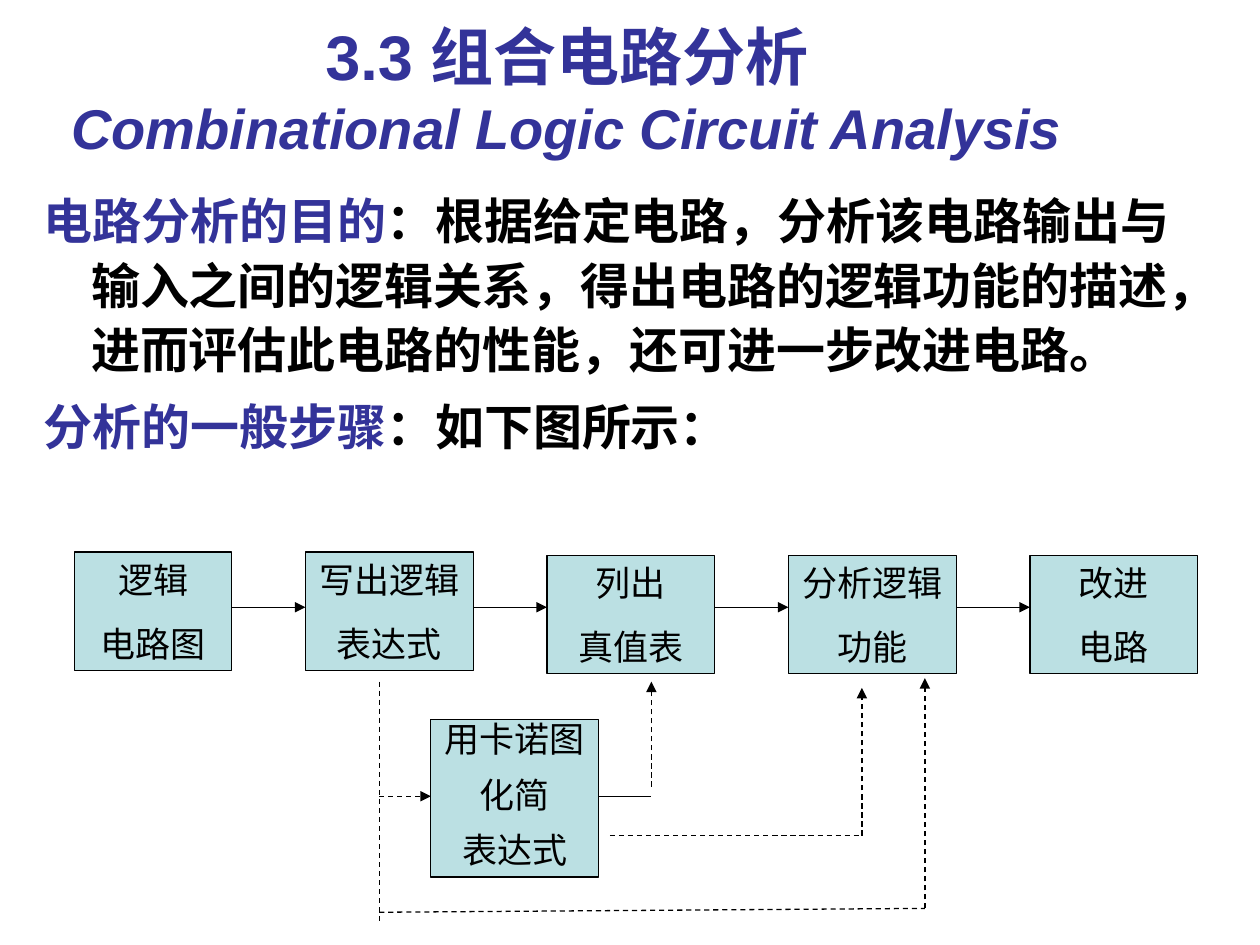
from lxml import etree
from pptx import Presentation
from pptx.dml.color import RGBColor
from pptx.enum import dml, shapes, text
from pptx.oxml import ns
from pptx.util import Pt

BLACK = RGBColor(0x00, 0x00, 0x00)
INDIGO = RGBColor(0x33, 0x33, 0x99)
PALE_TEAL = RGBColor(0xBB, 0xE0, 0xE3)


def add_span(para, words, font="Arial", size=20, color=BLACK, bold=False, italic=False):
    span = para.add_run()
    span.text = words
    span.font.name = font
    span.font.size = Pt(size)
    span.font.color.rgb = color
    span.font.bold = bold
    span.font.italic = italic


def add_text_box(slide, left, top, width, height, anchor):
    box = slide.shapes.add_textbox(Pt(left), Pt(top), Pt(width), Pt(height))
    box.text_frame.word_wrap = True
    box.text_frame.vertical_anchor = anchor
    return box.text_frame


def add_title(slide, left, top, width, height):
    frame = add_text_box(slide, left, top, width, height, text.MSO_ANCHOR.MIDDLE)
    para = frame.paragraphs[0]
    para.alignment = text.PP_ALIGN.CENTER
    add_span(para, "3.3 组合电路分析", size=36, color=INDIGO, bold=True)
    para.add_line_break()
    add_span(para, "Combinational Logic Circuit Analysis",
             size=32, color=INDIGO, bold=True, italic=True)


def add_body(slide, left, top, width, height):
    """Place the paragraphs, each with a coloured lead and a hanging indent."""
    frame = add_text_box(slide, left, top, width, height, text.MSO_ANCHOR.TOP)
    items = [
        ("电路分析的目的", "：根据给定电路，分析该电路输出与输入之间的逻辑关系，"
                    "得出电路的逻辑功能的描述，进而评估此电路的性能，还可进一步改进电路。"),
        ("分析的一般步骤", "：如下图所示："),
    ]
    for index, (lead, rest) in enumerate(items):
        para = frame.add_paragraph() if index else frame.paragraphs[0]
        para.line_spacing = 1.1
        para.space_before = Pt(7 if index else 0)
        indent = para._p.get_or_add_pPr()
        indent.set("marL", str(Pt(27)))
        indent.set("indent", str(Pt(-27)))
        add_span(para, lead, size=28, color=INDIGO, bold=True)
        add_span(para, rest, size=28, bold=True)


def add_step(slide, left, top, width, height, lines, spacing=1.0):
    step = slide.shapes.add_shape(shapes.MSO_SHAPE.RECTANGLE,
                                  Pt(left), Pt(top), Pt(width), Pt(height))
    step.shadow.inherit = False
    step.fill.solid()
    step.fill.fore_color.rgb = PALE_TEAL
    step.line.color.rgb = BLACK
    step.line.width = Pt(0.75)
    frame = step.text_frame
    frame.word_wrap = True
    frame.vertical_anchor = text.MSO_ANCHOR.TOP
    for index, words in enumerate(lines):
        para = frame.add_paragraph() if index else frame.paragraphs[0]
        para.alignment = text.PP_ALIGN.CENTER
        para.line_spacing = spacing
        para.space_before = Pt(12.5 if index else 0)
        add_span(para, words, font="Times New Roman")


def add_line(slide, x1, y1, x2, y2, dashed=False, arrow=False):
    link = slide.shapes.add_connector(shapes.MSO_CONNECTOR.STRAIGHT,
                                      Pt(x1), Pt(y1), Pt(x2), Pt(y2))
    link.line.color.rgb = BLACK
    link.line.width = Pt(0.75)
    if dashed:
        link.line.dash_style = dml.MSO_LINE.DASH
    if arrow:
        etree.SubElement(link.line._get_or_add_ln(), ns.qn("a:tailEnd"), type="triangle")
    etree.SubElement(link._element.spPr, ns.qn("a:effectLst"))


def add_main_steps(slide, left, top):
    """Place the row of steps, each joined to the next by an arrow."""
    first_width, step_width, height = 90, 96, 67.7
    pitch, arrow_y = 138, top + 31.6
    steps = [("逻辑", "电路图"), ("写出逻辑", "表达式"), ("列出", "真值表"),
             ("分析逻辑", "功能"), ("改进", "电路")]
    previous_right = None
    for index, lines in enumerate(steps):
        x = left + (index * pitch - 6 if index else 0)
        y = top + (2 if index > 1 else 0)
        width = step_width if index else first_width
        add_step(slide, x, y, width, height, lines)
        if previous_right is not None:
            add_line(slide, previous_right, arrow_y, x, arrow_y, arrow=True)
        previous_right = x + width


def add_simplify_branch(slide, left, top):
    """Place the optional step and its dashed routes, from the stem's upper end."""
    add_step(slide, left + 29.5, top + 21.6, 96, 90,
             ("用卡诺图", "化简", "表达式"), spacing=0.8)
    middle = 65.5
    add_line(slide, left + 125.5, top + middle, left + 155.5, top + middle)
    routes = [
        (0, 0, 0, 137.5, False),
        (0, middle, 29.5, middle, True),
        (155.5, 60, 155.5, 0, True),
        (131.8, 88, 275.8, 88, False),
        (275.8, 88, 275.8, 3.6, True),
        (0, 131.8, 311.8, 129.6, False),
        (311.8, 129.6, 311.8, -2, True),
    ]
    for x1, y1, x2, y2, arrow in routes:
        add_line(slide, left + x1, top + y1, left + x2, top + y2, dashed=True, arrow=arrow)


def main():
    deck = Presentation()
    deck.slide_width, deck.slide_height = Pt(720), Pt(540)
    page = deck.slides.add_slide(deck.slide_layouts[6])
    add_title(page, 12, 12, 624, 78)
    add_body(page, 18, 102, 684, 174)
    add_main_steps(page, 42.5, 315.4)
    add_simplify_branch(page, 216.7, 389.5)
    deck.save("out.pptx")


if __name__ == "__main__":
    main()
